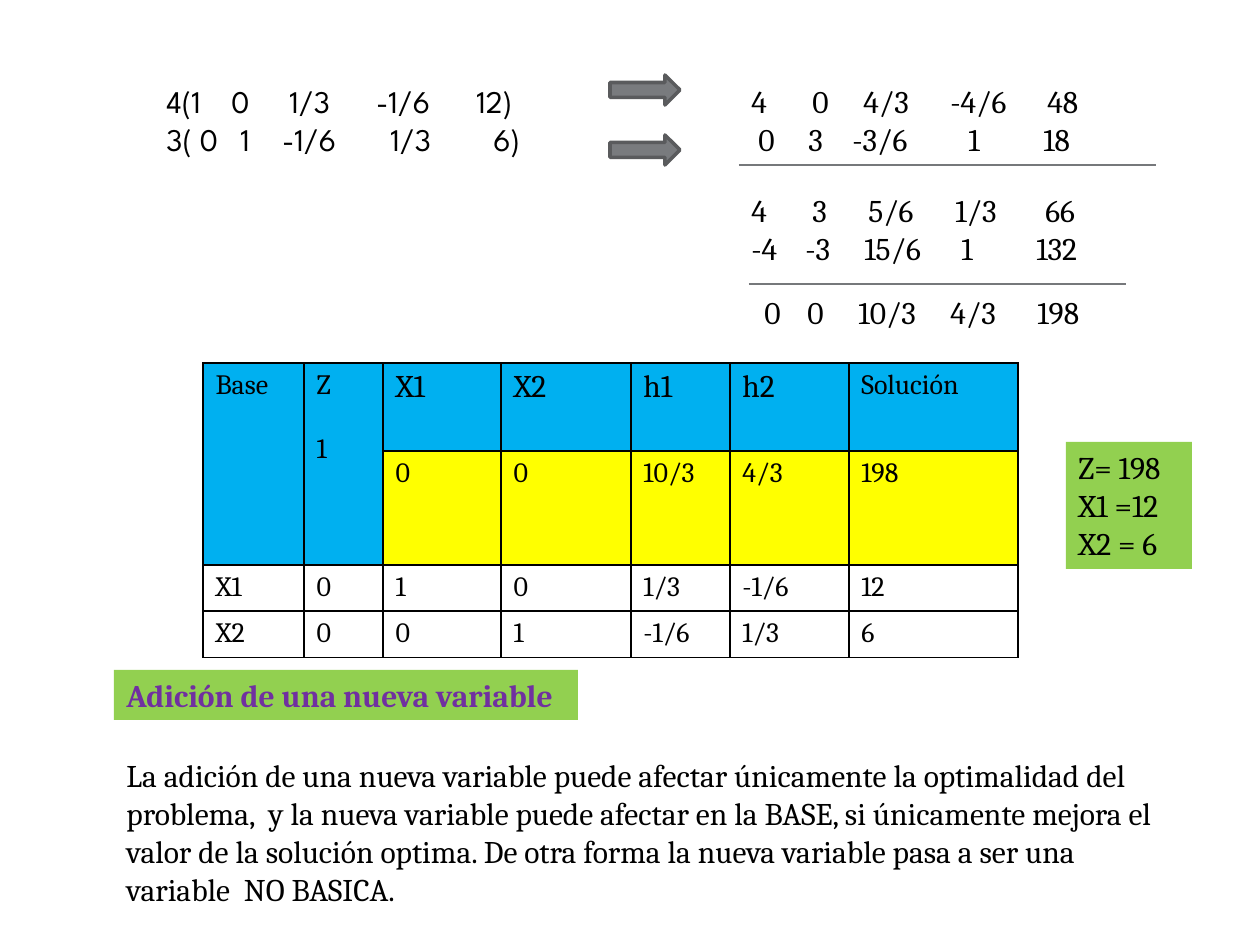
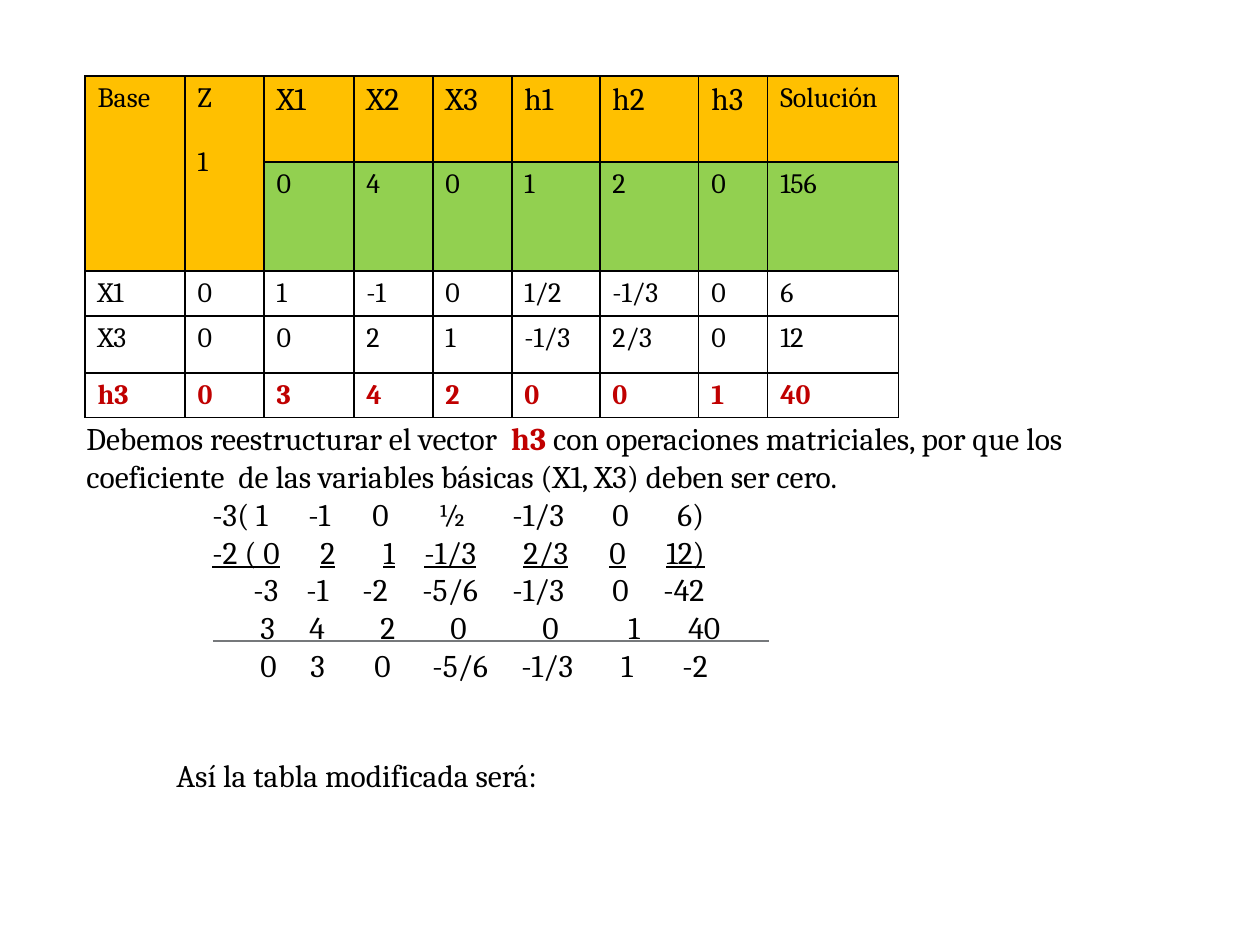
from lxml import etree
from pptx import Presentation
from pptx.dml.color import RGBColor
from pptx.enum.shapes import MSO_CONNECTOR, MSO_SHAPE
from pptx.enum.text import MSO_ANCHOR, PP_ALIGN
from pptx.oxml.ns import qn
from pptx.util import Emu, Pt

RECTANGLE = MSO_SHAPE.RECTANGLE
RIGHT_ARROW = MSO_SHAPE.RIGHT_ARROW
STRAIGHT = MSO_CONNECTOR.STRAIGHT
TOP = MSO_ANCHOR.TOP
LEFT = PP_ALIGN.LEFT

BLACK, WHITE, GREEN = "000000", "FFFFFF", "92D050"
BLUE, YELLOW, ORANGE = "00B0F0", "FFFF00", "FFC000"
RED, PURPLE = "C00000", "7030A0"
RULE, ARROW, ARROW_EDGE = "76787B", "797B7E", "5A5B5D"


def px(length):
    return Emu(round(length * 914400 / 126))


def color(value):
    return RGBColor.from_string(value)


def add_run(paragraph, text, size=18, fill=BLACK, font="Cambria", bold=False, underline=False):
    run = paragraph.add_run()
    run.text = text
    run.font.name = font
    run.font.size = Pt(size)
    run.font.bold = bold
    run.font.underline = underline
    run.font.color.rgb = color(fill)


def add_matrix_row(paragraph, columns, **style):
    properties = paragraph._p.get_or_add_pPr()
    stops = etree.SubElement(properties, qn("a:tabLst"))
    for offset in columns:
        if offset:
            etree.SubElement(stops, qn("a:tab"), pos=str(px(offset)), algn="l")
    if 0 not in columns:
        add_run(paragraph, "\t")
    add_run(paragraph, "\t".join(columns.values()), **style)


def write(frame, content, **style):
    frame.word_wrap = True
    frame.vertical_anchor = TOP
    for index, item in enumerate(content):
        paragraph = frame.add_paragraph() if index else frame.paragraphs[0]
        paragraph.alignment = LEFT
        if isinstance(item, dict):
            add_matrix_row(paragraph, item, **style)
        elif isinstance(item, str):
            add_run(paragraph, item, **style)
        else:
            for text, run_style in item:
                if isinstance(text, dict):
                    add_matrix_row(paragraph, text, **style, **run_style)
                else:
                    add_run(paragraph, text, **style, **run_style)


class Deck:
    def __init__(self):
        self.presentation = Presentation()
        self.presentation.slide_width = px(1260)
        self.presentation.slide_height = px(945)
        self.slide = None

    def new_slide(self):
        self.slide = self.presentation.slides.add_slide(self.presentation.slide_layouts[6])

    def text(self, box, *content, **style):
        shape = self.slide.shapes.add_textbox(*map(px, box))
        write(shape.text_frame, content, **style)

    def shape(self, kind, box, fill, edge=None):
        shape = self.slide.shapes.add_shape(kind, *map(px, box))
        shape.shadow.inherit = False
        shape.fill.solid()
        shape.fill.fore_color.rgb = color(fill)
        if edge:
            shape.line.color.rgb = color(edge)
            shape.line.width = Pt(2)
        else:
            shape.line.fill.background()
        return shape

    def label(self, box, *content, **style):
        write(self.shape(RECTANGLE, box, GREEN).text_frame, content, **style)

    def rule(self, left, right, top):
        line = self.slide.shapes.add_connector(STRAIGHT, px(left), px(top), px(right), px(top))
        line.line.color.rgb = color(RULE)
        line.line.width = Pt(0.75)
        etree.SubElement(line._element.spPr, qn("a:effectLst"))

    def border(self, cell):
        properties = cell._tc.get_or_add_tcPr()
        for index, side in enumerate(("lnL", "lnR", "lnT", "lnB")):
            line = etree.Element(qn(f"a:{side}"), w=str(Pt(1)))
            fill = etree.SubElement(line, qn("a:solidFill"))
            etree.SubElement(fill, qn("a:srgbClr"), val=BLACK)
            properties.insert(index, line)

    def simplex_table(self, left, top, widths, heights, rows, header, objective, new_row=None):
        frame = self.slide.shapes.add_table(
            len(rows), len(widths), px(left), px(top), px(sum(widths)), px(sum(heights)))
        table = frame.table
        table.first_row = table.horz_banding = False
        for column, width in zip(table.columns, widths):
            column.width = px(width)
        for row, height in zip(table.rows, heights):
            row.height = px(height)
        for y, values in enumerate(rows):
            for x, value in enumerate(values):
                cell = table.cell(y, x)
                in_header = y == 0 or (y == 1 and x < 2)
                cell.fill.solid()
                cell.fill.fore_color.rgb = color(
                    header if in_header else objective if y == 1 else WHITE)
                self.border(cell)
                if value:
                    variable = y == 0 and 1 < x < len(widths) - 1
                    highlighted = y == new_row
                    write(cell.text_frame, value.split("\n"), size=18 if variable else 16,
                          fill=RED if highlighted else BLACK, bold=highlighted)
        for x in range(2):
            table.cell(0, x).merge(table.cell(1, x))
        table.cell(0, 1).text_frame.paragraphs[1].space_before = Pt(18)


def build_new_variable(deck):
    deck.new_slide()
    deck.text((154, 76, 432, 89),
              {0: "4(1", 65: "0", 123: "1/3", 210: "-1/6", 310: "12)"},
              {0: "3( 0", 74: "1", 116: "-1/6", 224: "1/3", 327: "6)"},
              font="League Spartan")
    for top in (75, 135):
        deck.shape(RIGHT_ARROW, (610, top, 70, 30), ARROW, ARROW_EDGE)
    deck.text((739, 76, 390, 89),
              {0: "4", 61: "0", 112: "4/3", 199: "-4/6", 296: "48"},
              {7: "0", 57: "3", 101: "-3/6", 217: "1", 292: "18"})
    deck.rule(739, 1156, 165)
    deck.text((739, 185, 390, 89),
              {0: "4", 61: "3", 117: "5/6", 204: "1/3", 294: "66"},
              {0: "-4", 54: "-3", 113: "15/6", 210: "1", 285: "132"})
    deck.rule(749, 1126, 284)
    deck.text((752, 287, 436, 50),
              {0: "0", 43: "0", 94: "10/3", 186: "4/3", 273: "198"})
    deck.simplex_table(
        203, 363, (101, 79, 118, 130, 99, 119, 169), (88, 114, 46, 46),
        (("Base", "Z\n1", "X1", "X2", "h1", "h2", "Solución"),
         ("", "", "0", "0", "10/3", "4/3", "198"),
         ("X1", "0", "1", "0", "1/3", "-1/6", "12"),
         ("X2", "0", "0", "1", "-1/6", "1/3", "6")),
        BLUE, YELLOW)
    deck.label((1066, 442, 126, 127), "Z= 198", "X1 =12", "X2 = 6")
    deck.label((114, 670, 464, 50), "Adición de una nueva variable", fill=PURPLE, bold=True)
    deck.text((114, 750, 1079, 165),
              "La adición de una nueva variable puede afectar únicamente la optimalidad del "
              "problema,  y la nueva variable puede afectar en la BASE, si únicamente mejora el "
              "valor de la solución optima. De otra forma la nueva variable pasa a ser una "
              "variable  NO BASICA.")


def build_restructured_vector(deck):
    deck.new_slide()
    deck.simplex_table(
        85, 76, (100, 79, 90, 79, 79, 88, 99, 69, 131), (86, 109, 45, 57, 44),
        (("Base", "Z\n1", "X1", "X2", "X3", "h1", "h2", "h3", "Solución"),
         ("", "", "0", "4", "0", "1", "2", "0", "156"),
         ("X1", "0", "1", "-1", "0", "1/2", "-1/3", "0", "6"),
         ("X3", "0", "0", "2", "1", "-1/3", "2/3", "0", "12"),
         ("h3", "0", "3", "4", "2", "0", "0", "1", "40")),
        ORANGE, GREEN, new_row=4)
    summed_row = {126: "-2 ( 0", 234: "2", 297: "1", 338: "-1/3", 437: "2/3", 523: "0", 580: "12)"}
    deck.text((74, 413, 1142, 280),
              [("Debemos reestructurar el vector  ", {}),
               ("h3", {"fill": RED, "bold": True}),
               (" con operaciones matriciales, por que los coeficiente  de las variables "
                "básicas (X1, X3) deben ser cero.", {})],
              {126: "-3( 1", 222: "-1", 286: "0", 352: "½", 426: "-1/3", 526: "0", 591: "6)"},
              [(summed_row, {"underline": True})],
              {167: "-3", 220: "-1", 276: "-2", 336: "-5/6", 426: "-1/3", 526: "0", 577: "-42"},
              {174: "3", 223: "4", 294: "2", 364: "0", 456: "0", 542: "1", 602: "40"},
              {174: "0", 224: "3", 288: "0", 346: "-5/6", 435: "-1/3", 535: "1", 596: "-2"})
    deck.rule(213, 769, 641)
    deck.text((164, 750, 412, 50), "Así la tabla modificada será:")


def main():
    deck = Deck()
    build_new_variable(deck)
    build_restructured_vector(deck)
    deck.presentation.save("out.pptx")


if __name__ == "__main__":
    main()
